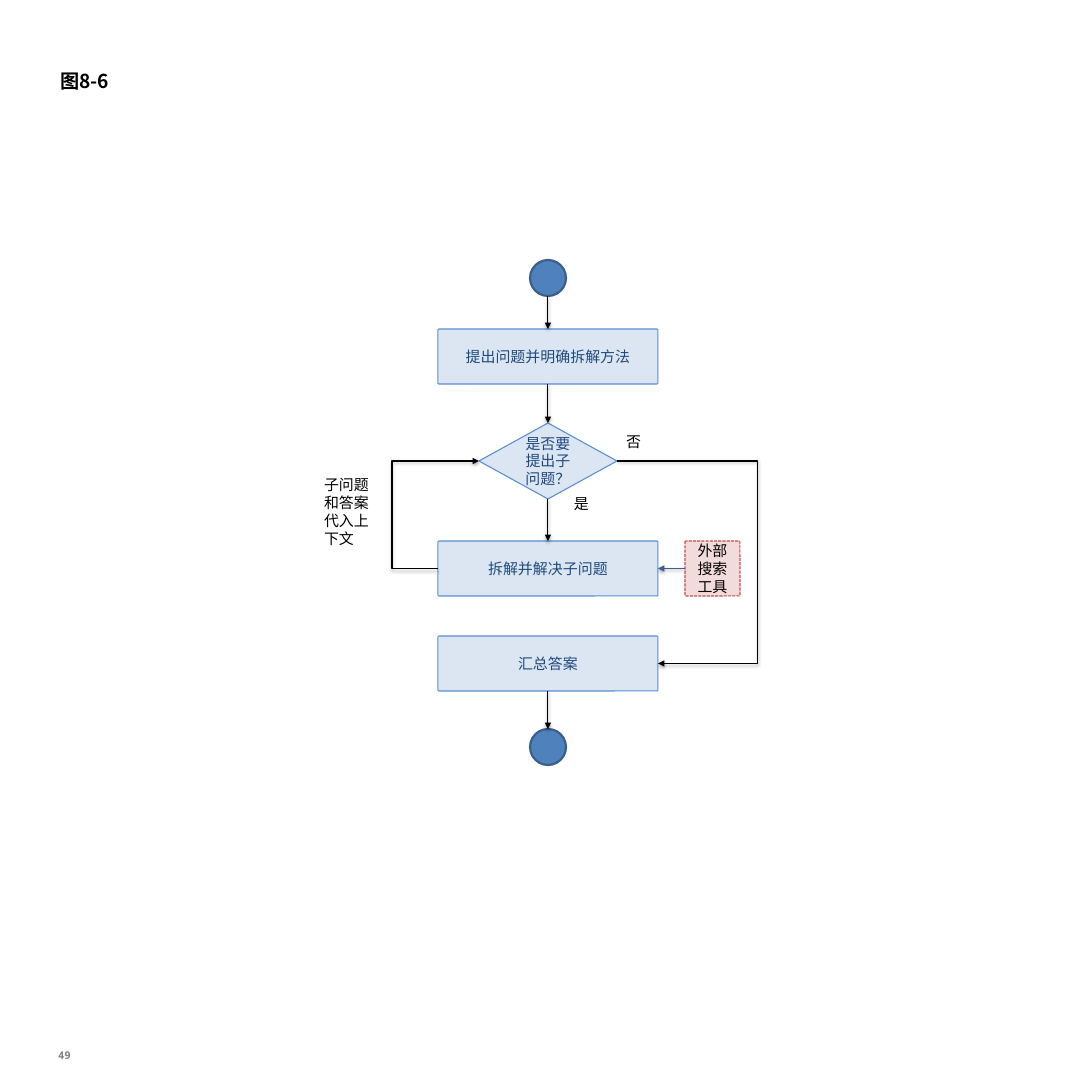
from lxml import etree
from pptx import Presentation
from pptx.dml.color import RGBColor
from pptx.enum.dml import MSO_LINE
from pptx.enum.shapes import MSO_CONNECTOR as CONN, MSO_SHAPE as SHAPE
from pptx.enum.text import MSO_ANCHOR as ANCHOR, MSO_AUTO_SIZE as FIT, PP_ALIGN as ALIGN
from pptx.oxml.ns import qn
from pptx.util import Pt

PX = 11906.25  # EMU per px
SANS, MONO = "Noto Sans CJK SC", "Noto Sans Mono"
COLORS = {
    "black": "000000", "gray": "808080", "navy": "1F497D",
    "circle": "4F81BD", "circle_edge": "3A5F8C",
    "step": "DCE6F2", "step_edge": "558ED5",
    "tool": "F2DCDB", "tool_edge": "C0504D",
}

# Content: nodes on the centre axis as name, kind, top, text
TITLE, PAGE = "图8-6", "49"
CENTER = 548
FLOW = [
    ("start", "circle", 260, ""),
    ("ask", "step", 329, "提出问题并明确拆解方法"),
    ("check", "decision", 423, "是否要提出子问题？"),
    ("solve", "step", 541, "拆解并解决子问题"),
    ("answer", "step", 636, "汇总答案"),
    ("end", "circle", 729, ""),
]
TOOL = ("外部搜索工具", (685, 541, 55, 55))
LABELS = [
    ("是", (566, 491, 31, 26)),
    ("否", (618, 429, 31, 26)),
    ("子问题和答案代入上下文", (316, 472, 64, 95)),
]
# kind: shape, width, height, fill, edge, edge width
KINDS = {
    "circle": (SHAPE.OVAL, 36, 36, "circle", "circle_edge", 2),
    "step": (SHAPE.ROUNDED_RECTANGLE, 220, 55, "step", "step_edge", 1),
    "decision": (SHAPE.FLOWCHART_DECISION, 138, 76, "step", "step_edge", 1),
    "tool": (SHAPE.ROUNDED_RECTANGLE, 55, 55, "tool", "tool_edge", 1),
}
# from, side, to, side, colour, x of the bend
TOP, LEFT, BOTTOM, RIGHT = range(4)
ARROWS = [
    ("start", BOTTOM, "ask", TOP, "black", None),
    ("ask", BOTTOM, "check", TOP, "black", None),
    ("check", BOTTOM, "solve", TOP, "black", None),
    ("answer", BOTTOM, "end", TOP, "black", None),
    ("check", RIGHT, "answer", RIGHT, "black", 758),
    ("solve", LEFT, "check", LEFT, "black", 392),
    ("tool", LEFT, "solve", RIGHT, "circle_edge", None),
]


def emu(*lengths):
    return [round(v * PX) for v in lengths]


def rgb(name):
    return RGBColor.from_string(COLORS[name])


def write(sp, text, size=14, color="black", font=SANS, bold=False,
          align=ALIGN.LEFT, anchor=ANCHOR.TOP, inset=(8, 4), spacing=None):
    tf = sp.text_frame
    tf.auto_size, tf.word_wrap, tf.vertical_anchor = FIT.NONE, True, anchor
    tf.margin_left = tf.margin_right = emu(inset[0])[0]
    tf.margin_top = tf.margin_bottom = emu(inset[1])[0]
    p = tf.paragraphs[0]
    p.alignment, p.line_spacing = align, spacing
    r = p.add_run()
    r.text = text
    r.font.name, r.font.size, r.font.bold = font, Pt(size), bold
    r.font.color.rgb = rgb(color)
    etree.SubElement(r.font._element, qn("a:ea"), typeface=font)


def add_node(slide, kind, x, y, text, color="navy"):
    shape, w, h, fill, edge, weight = KINDS[kind]
    sp = slide.shapes.add_shape(shape, *emu(x, y, w, h))
    sp.shadow.inherit = False
    sp.fill.solid()
    sp.fill.fore_color.rgb = rgb(fill)
    sp.line.color.rgb, sp.line.width = rgb(edge), Pt(weight)
    if shape == SHAPE.ROUNDED_RECTANGLE:
        sp.adjustments[0] = 0.02
    if text:
        write(sp, text, color=color, align=ALIGN.CENTER, anchor=ANCHOR.MIDDLE)
    return sp


def side_point(sp, side):
    mid_x, mid_y = sp.left + sp.width // 2, sp.top + sp.height // 2
    return [(mid_x, sp.top), (sp.left, mid_y),
            (mid_x, sp.top + sp.height), (sp.left + sp.width, mid_y)][side]


def add_arrow(slide, source, out_side, target, in_side, color, bend):
    begin, end = side_point(source, out_side), side_point(target, in_side)
    kind = CONN.STRAIGHT if bend is None else CONN.ELBOW
    line = slide.shapes.add_connector(kind, *begin, *end)
    # Site 2 of an ellipse is its left, so a circle's bottom stays unglued
    if source.auto_shape_type != SHAPE.OVAL:
        line.begin_connect(source, out_side)
    line.end_connect(target, in_side)
    line.line.color.rgb, line.line.width = rgb(color), Pt(1)
    etree.SubElement(line.line._get_or_add_ln(), qn("a:tailEnd"), type="triangle")
    if bend is not None:
        ratio = (bend * PX - begin[0]) / (end[0] - begin[0])
        guides = line._element.spPr.find(qn("a:prstGeom")).get_or_add_avLst()
        etree.SubElement(guides, qn("a:gd"), name="adj1",
                         fmla=f"val {round(ratio * 100000)}")


def main():
    prs = Presentation()
    prs.slide_width, prs.slide_height = emu(1092, 1088)
    slide = prs.slides.add_slide(prs.slide_layouts[5])

    # Title and page number
    title = slide.shapes.title
    title.left, title.top, title.width, title.height = emu(50, 71, 983, 19)
    write(title, TITLE, size=18, bold=True, anchor=ANCHOR.MIDDLE, inset=(10, 5))
    page = slide.shapes.add_textbox(*emu(49, 1050, 31, 12))
    write(page, PAGE, size=10, color="gray", font=MONO, bold=True,
          align=ALIGN.CENTER, inset=(0, 0), spacing=Pt(11.2))

    # Nodes
    nodes = {}
    for name, kind, y, text in FLOW:
        nodes[name] = add_node(slide, kind, CENTER - KINDS[kind][1] / 2, y, text)
    text, (x, y, _, _) = TOOL
    nodes["tool"] = add_node(slide, "tool", x, y, text, color="black")
    nodes["tool"].line.dash_style = MSO_LINE.SQUARE_DOT

    # Arrows and labels
    for source, out_side, target, in_side, color, bend in ARROWS:
        add_arrow(slide, nodes[source], out_side, nodes[target], in_side, color, bend)
    for text, box in LABELS:
        write(slide.shapes.add_textbox(*emu(*box)), text)

    prs.save("out.pptx")


if __name__ == "__main__":
    main()
